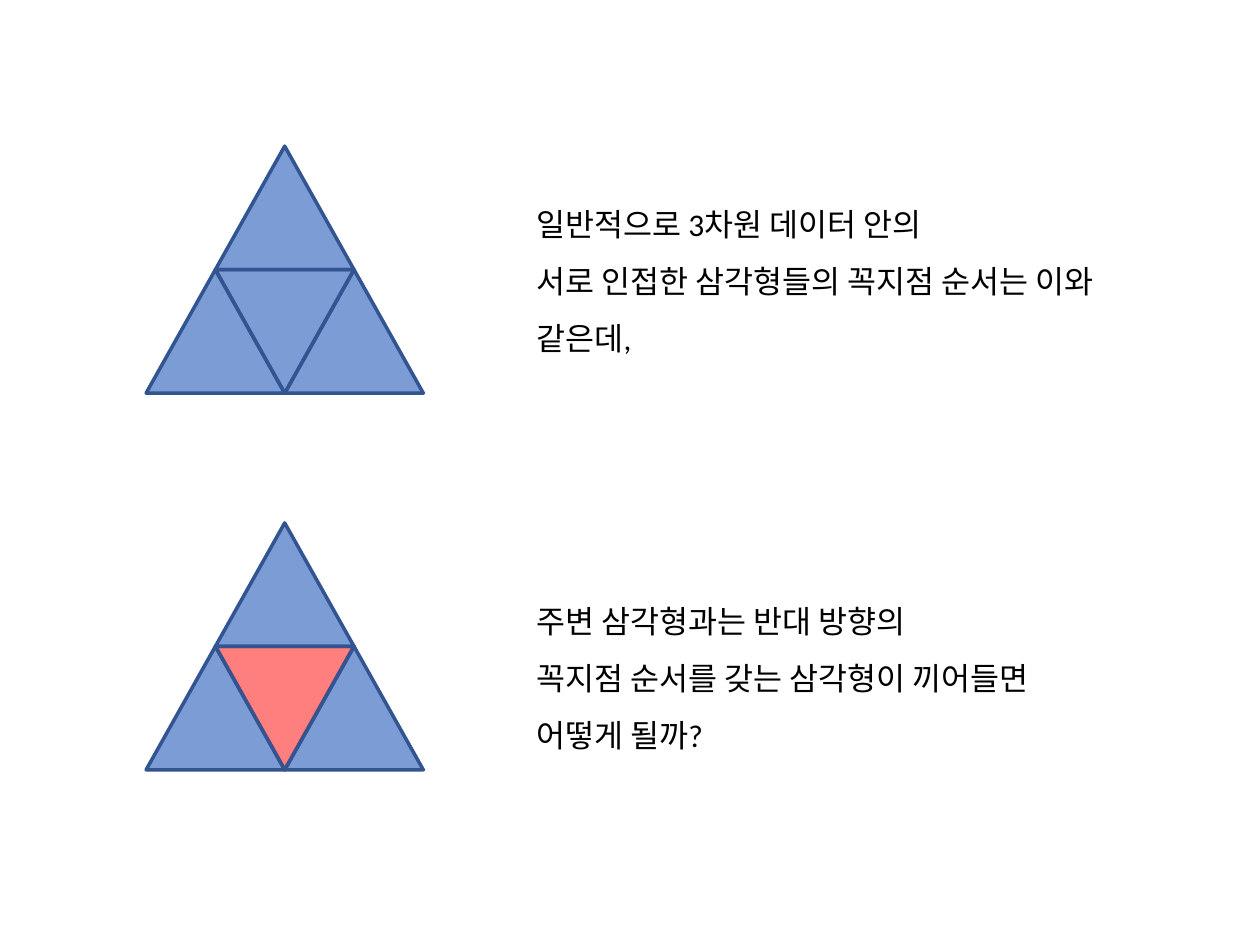
import pptx
import pptx.util
import pptx.dml.color
import pptx.enum.shapes
import pptx.enum.text
import pptx.oxml.ns
from lxml import etree

BLUE = pptx.dml.color.RGBColor(0x44, 0x72, 0xC4)
RED = pptx.dml.color.RGBColor(0xFF, 0x00, 0x00)
NAVY = pptx.dml.color.RGBColor(0x32, 0x54, 0x91)
BLACK = pptx.dml.color.RGBColor(0x00, 0x00, 0x00)

Inches = pptx.util.Inches
Pt = pptx.util.Pt

prs = pptx.Presentation()
prs.slide_width, prs.slide_height = Inches(10), Inches(7.5)
s = prs.slides.add_slide(prs.slide_layouts[6])

# Triangle grid: half-width columns, full-height rows
LEFT, COL, ROW = 1.16, 0.55, 0.98
TEXT_LEFT, TEXT_W = 4.16, 4.62


def add_triangle(col, row, top, color, alpha, rotation=0):
    sp = s.shapes.add_shape(
        pptx.enum.shapes.MSO_SHAPE.ISOSCELES_TRIANGLE,
        Inches(LEFT + col * COL), Inches(top + row * ROW),
        Inches(2 * COL), Inches(ROW))
    sp.rotation = rotation
    sp.shadow.inherit = False
    sp.fill.solid()
    sp.fill.fore_color.rgb = color
    clr = sp._element.spPr.find(".//" + pptx.oxml.ns.qn("a:srgbClr"))
    etree.SubElement(clr, pptx.oxml.ns.qn("a:alpha"), val=str(alpha * 1000))
    sp.line.color.rgb = NAVY
    sp.line.width = Pt(2)


# Per section: figure top, centre colour and opacity, text top and height, lines
sections = [
    (1.16, BLUE, 70, 1.43, 1.41,
     ["일반적으로 3차원 데이터 안의",
      "서로 인접한 삼각형들의 꼭지점 순서는 이와 같은데,"]),
    (4.15, RED, 50, 4.58, 1.46,
     ["주변 삼각형과는 반대 방향의",
      "꼭지점 순서를 갖는 삼각형이 끼어들면",
      "어떻게 될까?"]),
]

for top, color, alpha, text_top, text_h, lines in sections:
    # Three upright triangles around an inverted one
    for col, row in [(1, 0), (2, 1), (0, 1)]:
        add_triangle(col, row, top, BLUE, 70)
    add_triangle(1, 1, top, color, alpha, rotation=180)

    # Explanation beside the figure
    sp = s.shapes.add_textbox(Inches(TEXT_LEFT), Inches(text_top),
                              Inches(TEXT_W), Inches(text_h))
    tf = sp.text_frame
    tf.word_wrap = True
    tf.auto_size = pptx.enum.text.MSO_AUTO_SIZE.SHAPE_TO_FIT_TEXT
    for i, line in enumerate(lines):
        p = tf.add_paragraph() if i else tf.paragraphs[0]
        p.line_spacing = 1.5
        r = p.add_run()
        r.text = line
        r.font.name = "Calibri"
        r.font.size = Pt(18)
        r.font.color.rgb = BLACK

prs.save("out.pptx")
